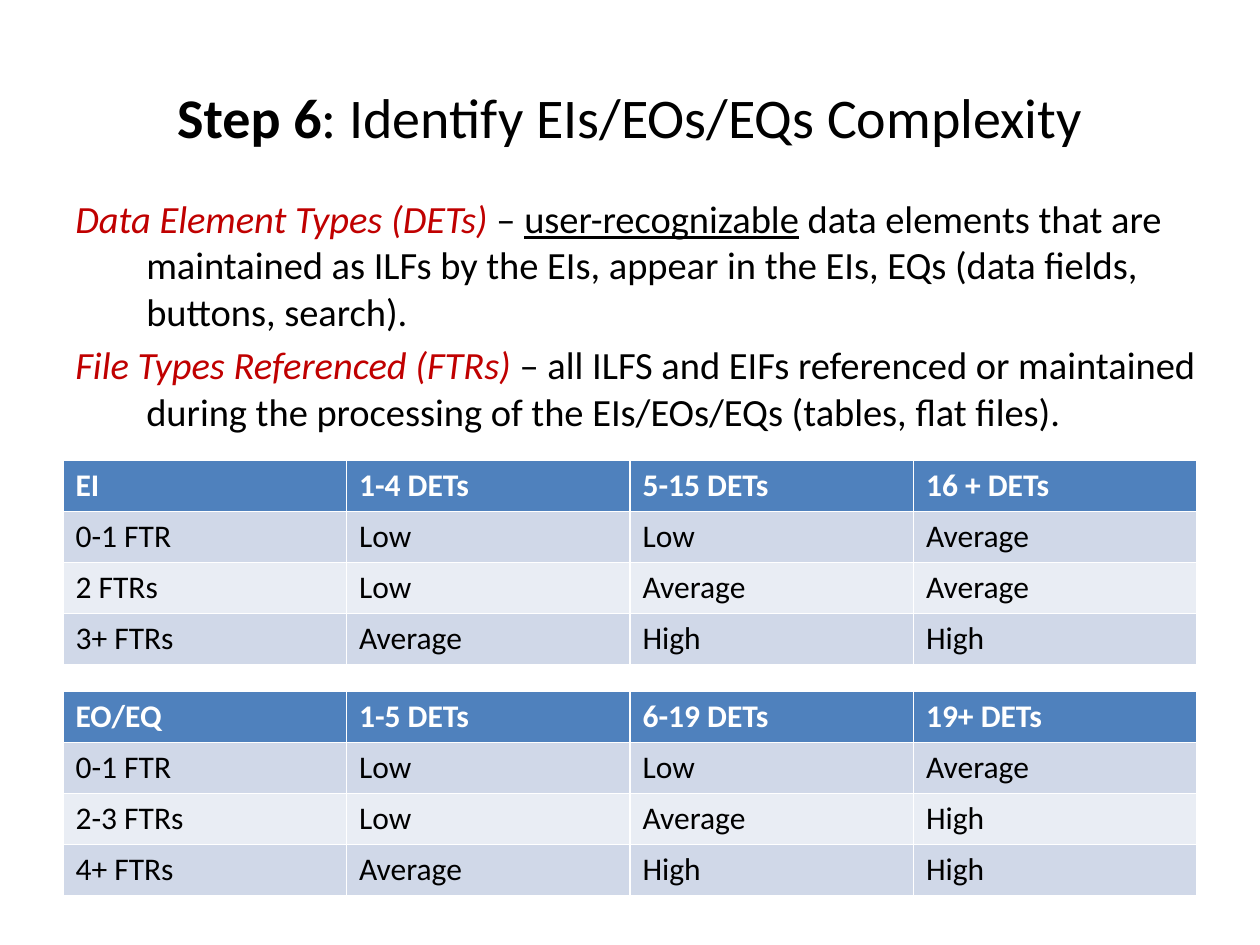
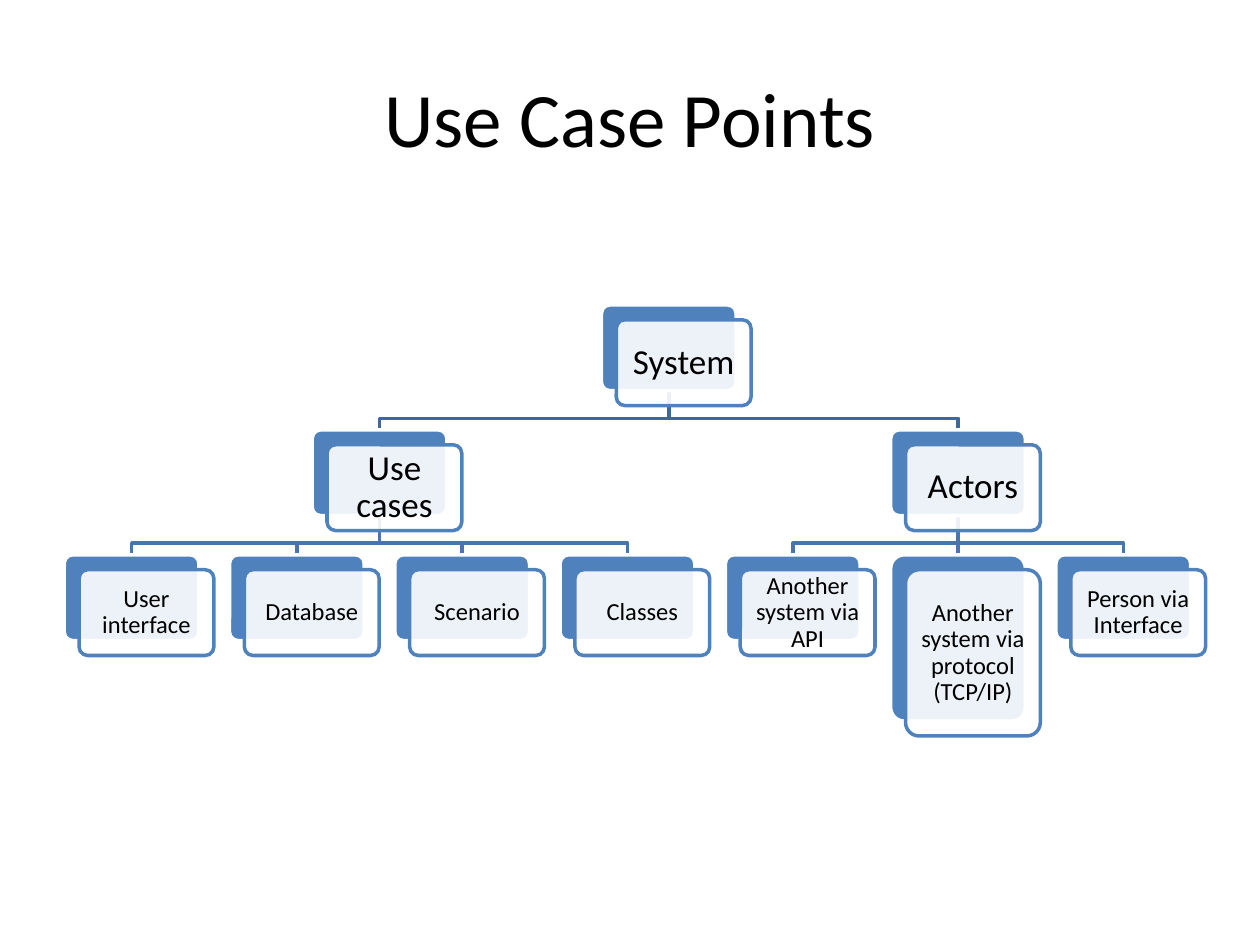
"""Build two slides on sizing: complexity tables and a use case point tree."""
from pptx import Presentation
from pptx.dml.color import RGBColor
from pptx.enum.shapes import MSO_SHAPE
from pptx.enum.text import MSO_ANCHOR, PP_ALIGN
from pptx.oxml.ns import qn
from pptx.util import Pt
from lxml import etree

ROUND = MSO_SHAPE.ROUNDED_RECTANGLE
MIDDLE = MSO_ANCHOR.MIDDLE
CENTER = PP_ALIGN.CENTER

FONT = "Calibri"
BLACK, WHITE, BLUE, RED = "000000", "FFFFFF", "4F81BD", "C00000"
BANDS = ["D0D8E8", "E9EDF4"]
LINKS = ["3F6797", "4875AC"]

STEP = [("Step 6", {"bold": True}), (": Identify EIs/EOs/EQs Complexity", {})]
POINTS = [("Use Case Points", {})]

TERM = {"italic": True, "color": RED}
TERMS = [
    [("Data Element Types (DETs) ", TERM), ("– ", {}),
     ("user-recognizable", {"underline": True}),
     (" data elements that are maintained as ILFs by the EIs, appear in the "
      "EIs, EQs (data fields, buttons, search).", {})],
    [("File Types Referenced (FTRs) ", TERM),
     ("– all ILFS and EIFs referenced or maintained during the processing of "
      "the EIs/EOs/EQs (tables, flat files).", {})],
]

INPUTS = [
    ["EI", "1-4 DETs", "5-15 DETs", "16 + DETs"],
    ["0-1 FTR", "Low", "Low", "Average"],
    ["2 FTRs", "Low", "Average", "Average"],
    ["3+ FTRs", "Average", "High", "High"],
]
OUTPUTS = [
    ["EO/EQ", "1-5 DETs", "6-19 DETs", "19+ DETs"],
    ["0-1 FTR", "Low", "Low", "Average"],
    ["2-3 FTRs", "Low", "Average", "High"],
    ["4+ FTRs", "Average", "High", "High"],
]

ROOT = "System"
TREE = {
    "Use cases": ["User interface", "Database", "Scenario", "Classes"],
    "Actors": ["Another system via API", "Another system via protocol (TCP/IP)",
               "Person via Interface"],
}
TALL = {"Another system via protocol (TCP/IP)": 95}

EDGE, WIDE = 36, 648
ROW = 29
LEFT, TOP = 36.75, 174.25
PITCH, DROP = 94.45, 71.4
BOX_W, BOX_H, SHIFT, BEND = 77, 49, 8.5, 6.6


def rgb(code):
    """Turn a hex string into a colour."""
    return RGBColor.from_string(code)


def write(par, runs, size, color=BLACK):
    """Put formatted runs into a paragraph."""
    for text, look in runs:
        run = par.add_run()
        run.text = text
        font = run.font
        font.name, font.size = FONT, Pt(size)
        font.color.rgb = rgb(look.get("color", color))
        font.bold = look.get("bold", False)
        font.italic = look.get("italic", False)
        font.underline = look.get("underline", False)


def add_page(deck, runs, size):
    """Add a title-only slide with its title."""
    page = deck.slides.add_slide(deck.slide_layouts[5])
    title = page.shapes.title
    title.left, title.top = Pt(EDGE), Pt(21.6)
    title.width, title.height = Pt(WIDE), Pt(90)
    frame = title.text_frame
    frame.vertical_anchor = MIDDLE
    par = frame.paragraphs[0]
    par.alignment = CENTER
    write(par, runs, size)
    return page


def add_terms(page):
    """Add the two definitions with hanging indents."""
    box = page.shapes.add_textbox(Pt(EDGE), Pt(108), Pt(660), Pt(132))
    frame = box.text_frame
    frame.word_wrap = True
    for i, runs in enumerate(TERMS):
        par = frame.add_paragraph() if i else frame.paragraphs[0]
        props = par._p.get_or_add_pPr()
        props.set("marL", str(Pt(40.5)))
        props.set("indent", str(-Pt(40.5)))
        par.space_before = Pt(4.4 if i else 0)
        write(par, runs, 22)


def add_grid(page, rows, top):
    """Add a banded table with a blue header row."""
    frame = page.shapes.add_table(len(rows), len(rows[0]), Pt(EDGE), Pt(top),
                                  Pt(WIDE), Pt(ROW * len(rows)))
    for r, row in enumerate(rows):
        for c, text in enumerate(row):
            cell = frame.table.cell(r, c)
            cell.fill.solid()
            cell.fill.fore_color.rgb = rgb(BANDS[(r - 1) % 2] if r else BLUE)
            write(cell.text_frame.paragraphs[0], [(text, {"bold": r == 0})],
                  18, BLACK if r else WHITE)


def add_link(page, start, end, color):
    """Draw an elbow from a parent box down to a child box."""
    (x, y), (to_x, to_y) = start, end
    bend = to_y - BEND
    pen = page.shapes.build_freeform(Pt(x), Pt(y))
    spots = [(x, bend), (to_x, bend), (to_x, to_y)]
    pen.add_line_segments([(Pt(a), Pt(b)) for a, b in spots], close=False)
    link = pen.convert_to_shape()
    link.shadow.inherit = False
    link.fill.background()
    link.line.color.rgb = rgb(color)
    link.line.width = Pt(2)


def add_card(page, x, y, high, fill, line):
    """Draw one rounded box."""
    card = page.shapes.add_shape(ROUND, Pt(x), Pt(y), Pt(BOX_W), Pt(high))
    card.adjustments[0] = 0.1
    card.shadow.inherit = False
    card.fill.solid()
    card.fill.fore_color.rgb = rgb(fill)
    card.line.color.rgb = rgb(line)
    card.line.width = Pt(2)
    return card


def add_node(page, text, x, level):
    """Draw a blue box with a sheer labelled box over it."""
    y, high = TOP + DROP * level, TALL.get(text, BOX_H)
    add_card(page, x, y, high, BLUE, WHITE)
    card = add_card(page, x + SHIFT, y + SHIFT, high, WHITE, BLUE)
    tint = card.fill._xPr.find(qn("a:solidFill"))[0]
    etree.SubElement(tint, qn("a:alpha")).set("val", "90000")
    frame = card.text_frame
    frame.word_wrap = True
    frame.vertical_anchor = MIDDLE
    inset = Pt(2.9 if level == 2 else 4.3)
    frame.margin_left = frame.margin_right = inset
    frame.margin_top = frame.margin_bottom = inset
    par = frame.paragraphs[0]
    par.alignment = CENTER
    par.line_spacing = 0.9
    write(par, [(text, {})], 14 if level == 2 else 20)


def add_tree(page):
    """Place leaves evenly, centre parents over them, then link and draw."""
    nodes, links, mids, count = [], [], [], 0
    for name, leaves in TREE.items():
        spots = [LEFT + PITCH * (count + i) for i in range(len(leaves))]
        count += len(leaves)
        mid = (spots[0] + spots[-1]) / 2
        mids.append(mid)
        nodes.append((name, mid, 1))
        nodes += [(leaf, x, 2) for leaf, x in zip(leaves, spots)]
        links += [(mid, x, 1) for x in spots]
    peak = sum(mids) / len(mids)
    nodes.insert(0, (ROOT, peak, 0))
    links += [(peak, mid, 0) for mid in mids]
    half = BOX_W / 2
    for x, to_x, level in links:
        y = TOP + DROP * level
        add_link(page, (x + half, y + BOX_H), (to_x + half, y + DROP),
                 LINKS[level])
    for node in nodes:
        add_node(page, *node)


def main():
    """Build and save the deck."""
    deck = Presentation()
    deck.slide_width, deck.slide_height = Pt(720), Pt(540)
    page = add_page(deck, STEP, 32)
    add_grid(page, INPUTS, 263)
    add_grid(page, OUTPUTS, 395)
    add_terms(page)
    add_tree(add_page(deck, POINTS, 44))
    deck.save("out.pptx")


if __name__ == "__main__":
    main()
